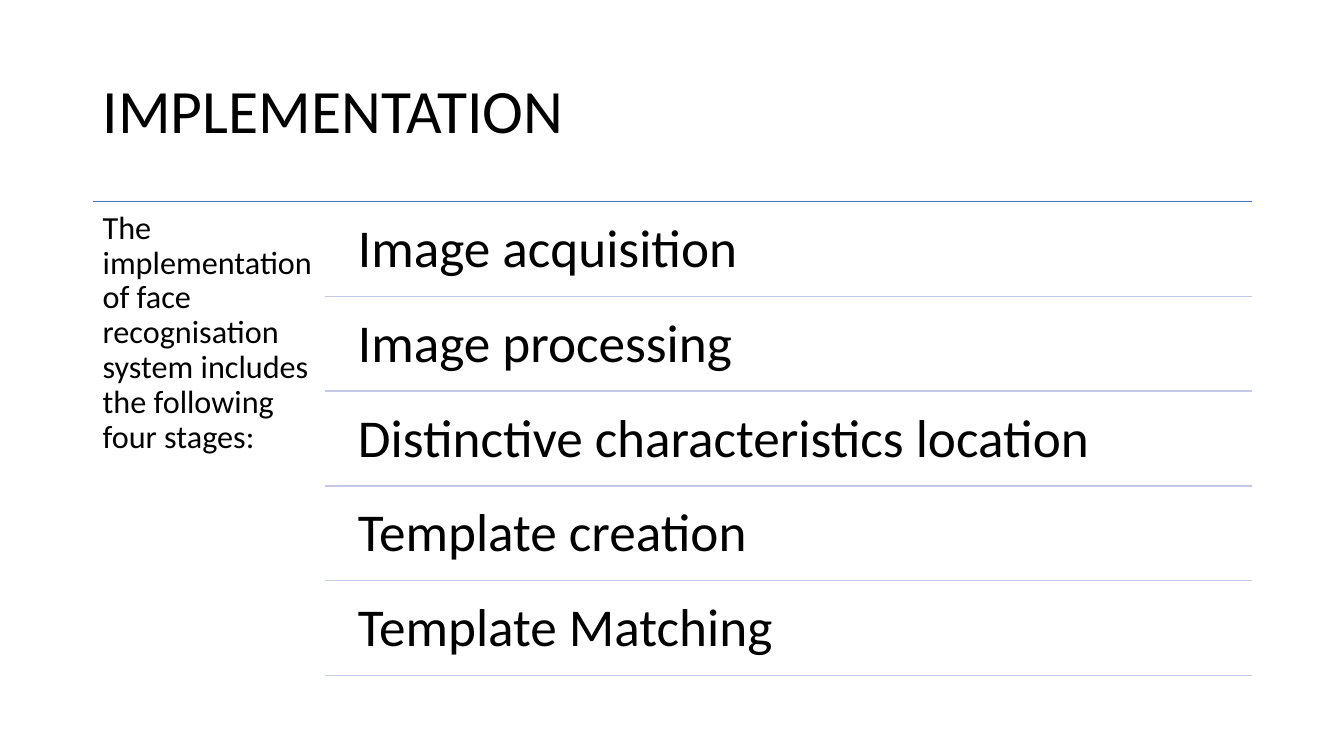
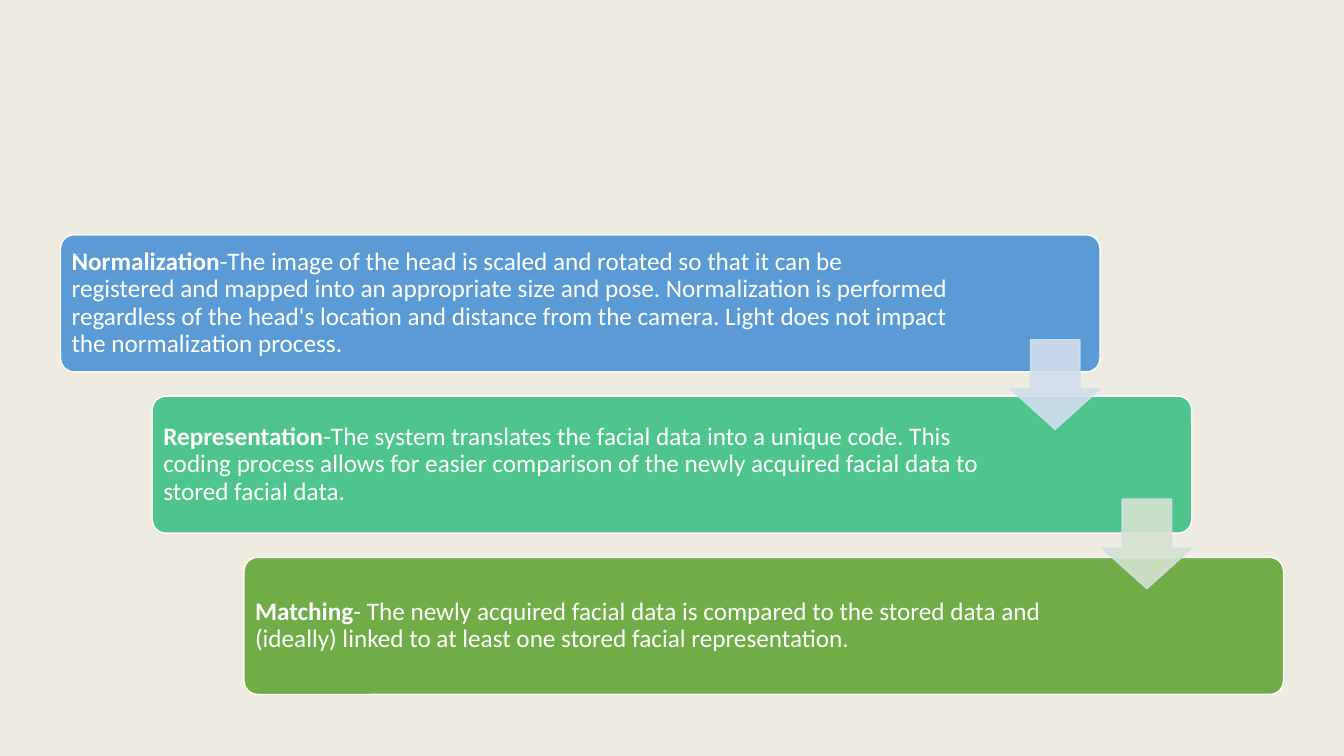
from lxml.etree import SubElement
from pptx import Presentation
from pptx.dml.color import RGBColor
from pptx.enum.shapes import MSO_CONNECTOR as Connector, MSO_SHAPE as Preset
from pptx.enum.text import MSO_ANCHOR as Anchor, MSO_AUTO_SIZE as AutoSize, PP_ALIGN as Align
from pptx.oxml.ns import qn
from pptx.util import Inches, Pt

BLACK = RGBColor(0x00, 0x00, 0x00)
WHITE = RGBColor(0xFF, 0xFF, 0xFF)
LIGHT_GREY = RGBColor(0xF2, 0xF2, 0xF2)
GOLD = RGBColor(0xBF, 0x90, 0x00)
RULE_BLUE = RGBColor(0x44, 0x72, 0xC4)
RULE_PALE = RGBColor(0xC1, 0xC9, 0xE4)
BLUE = RGBColor(0x5B, 0x9B, 0xD5)
TEAL = RGBColor(0x4D, 0xC5, 0x8D)
GREEN = RGBColor(0x70, 0xAD, 0x47)
ARROW_BLUE = RGBColor(0xD2, 0xDE, 0xEF)
ARROW_GREEN = RGBColor(0xD5, 0xE3, 0xCF)

FONT = "Calibri"
SLIDE_WIDTH, SLIDE_HEIGHT = 13.33, 7.5
TITLE_ONLY, BLANK = 5, 6

LEFT, RIGHT, LIST_TOP = 0.92, 12.42, 2
LIST_LEFT, STAGE_PITCH = 3.22, 0.94
CARD_WIDTH, CARD_HEIGHT = 10.31, 1.36
CARD_STEP_X, CARD_STEP_Y = 0.91, 1.6
ARROW_SIZE = 0.89

INTRO = "The implementation of face recognisation system includes the following four stages:"
STAGES = [
    "Image acquisition",
    "Image processing",
    "Distinctive characteristics location",
    "Template creation",
    "Template Matching",
]
# heading, explanation, fill, right inset
CARDS = [
    ("Normalization", "-The image of the head is scaled and rotated so that it can be registered "
     "and mapped into an appropriate size and pose. Normalization is performed regardless of the "
     "head's location and distance from the camera. Light does not impact the normalization "
     "process.", BLUE, 1.46),
    ("Representation", "-The system translates the facial data into a unique code. This coding "
     "process allows for easier comparison of the newly acquired facial data to stored facial "
     "data.", TEAL, 1.86),
    ("Matching", "- The newly acquired facial data is compared to the stored data and (ideally) "
     "linked to at least one stored facial representation.", GREEN, 1.86),
]


def set_all(target, formats):
    for name, value in formats.items():
        setattr(target, name, value)


def place(shape, left, top, width, height):
    set_all(shape, {"left": Inches(left), "top": Inches(top),
                    "width": Inches(width), "height": Inches(height)})


def write(shape, spans, size, color, insets, anchor=Anchor.TOP):
    """Fill a shape with one paragraph of (text, bold) spans; insets run left, top, right, bottom."""
    frame = shape.text_frame
    left, top, right, bottom = map(Inches, insets)
    set_all(frame, {"word_wrap": True, "auto_size": AutoSize.NONE, "vertical_anchor": anchor,
                    "margin_left": left, "margin_top": top,
                    "margin_right": right, "margin_bottom": bottom})
    para = frame.paragraphs[0]
    set_all(para, {"alignment": Align.LEFT, "line_spacing": 0.9})
    for text, bold in spans:
        span = para.add_run()
        span.text = text
        set_all(span.font, {"name": FONT, "size": Pt(size), "bold": bold})
        span.font.color.rgb = color


def add_title(page, text):
    title = page.shapes.title
    place(title, LEFT, 0.4, RIGHT - LEFT, 1.45)
    write(title, [(text, False)], 44, BLACK, (0.1, 0.05, 0.1, 0.05), Anchor.MIDDLE)


def add_text(page, text, left, top, width, height, size, inset):
    box = page.shapes.add_textbox(*map(Inches, (left, top, width, height)))
    write(box, [(text, False)], size, BLACK, [inset] * 4)


def add_rule(page, left, y, color):
    rule = page.shapes.add_connector(
        Connector.STRAIGHT, *map(Inches, (left, y, RIGHT, y)))
    rule.line.color.rgb = color
    rule.line.width = Pt(1)
    SubElement(rule._element.spPr, qn("a:effectLst"))


def set_color(fill, color, opacity):
    fill.solid()
    fill.fore_color.rgb = color
    if opacity < 100:
        clr = fill._xPr.find(qn("a:solidFill"))[0]
        SubElement(clr, qn("a:alpha"), val=str(opacity * 1000))


def add_block(page, preset, left, top, width, height, color,
              line=None, opacity=100, adjustments=()):
    block = page.shapes.add_shape(preset, *map(Inches, (left, top, width, height)))
    block.shadow.inherit = False
    for index, value in enumerate(adjustments):
        block.adjustments[index] = value
    set_color(block.fill, color, opacity)
    if line is None:
        block.line.fill.background()
    else:
        block.line.width = Pt(1)
        set_color(block.line.fill, line, opacity)
    return block


def build_implementation(deck):
    page = deck.slides.add_slide(deck.slide_layouts[TITLE_ONLY])
    add_title(page, "IMPLEMENTATION")
    add_rule(page, LEFT, LIST_TOP, RULE_BLUE)
    add_text(page, INTRO, LEFT, LIST_TOP, LIST_LEFT - LEFT, 4.76, 23, 0.1)
    for index, stage in enumerate(STAGES):
        top = LIST_TOP + index * STAGE_PITCH
        add_text(page, stage, 3.39, top + 0.04, 9.03, 0.9, 38, 0.16)
        add_rule(page, LIST_LEFT, top + STAGE_PITCH, RULE_PALE)


def build_process(deck):
    page = deck.slides.add_slide(deck.slide_layouts[BLANK])
    for color, opacity in ((LIGHT_GREY, 100), (GOLD, 7)):
        add_block(page, Preset.RECTANGLE, 0, 0, SLIDE_WIDTH, SLIDE_HEIGHT, color,
                  opacity=opacity)
    for index, (heading, explanation, color, right_inset) in enumerate(CARDS):
        card = add_block(page, Preset.ROUNDED_RECTANGLE,
                         0.6 + index * CARD_STEP_X, 2.33 + index * CARD_STEP_Y,
                         CARD_WIDTH, CARD_HEIGHT, color, WHITE, adjustments=[0.1])
        write(card, [(heading, True), (explanation, False)], 18, WHITE,
              (0.07, 0.07, right_inset, 0.07), Anchor.MIDDLE)
    for index, color in enumerate((ARROW_BLUE, ARROW_GREEN)):
        add_block(page, Preset.DOWN_ARROW,
                  10.02 + index * CARD_STEP_X, 3.37 + index * 1.58,
                  ARROW_SIZE, ARROW_SIZE, color, ARROW_BLUE, 90, [0.45, 0.55][::-1])


def main():
    deck = Presentation()
    deck.slide_width, deck.slide_height = Inches(SLIDE_WIDTH), Inches(SLIDE_HEIGHT)
    build_implementation(deck)
    build_process(deck)
    deck.save("out.pptx")


if __name__ == "__main__":
    main()
